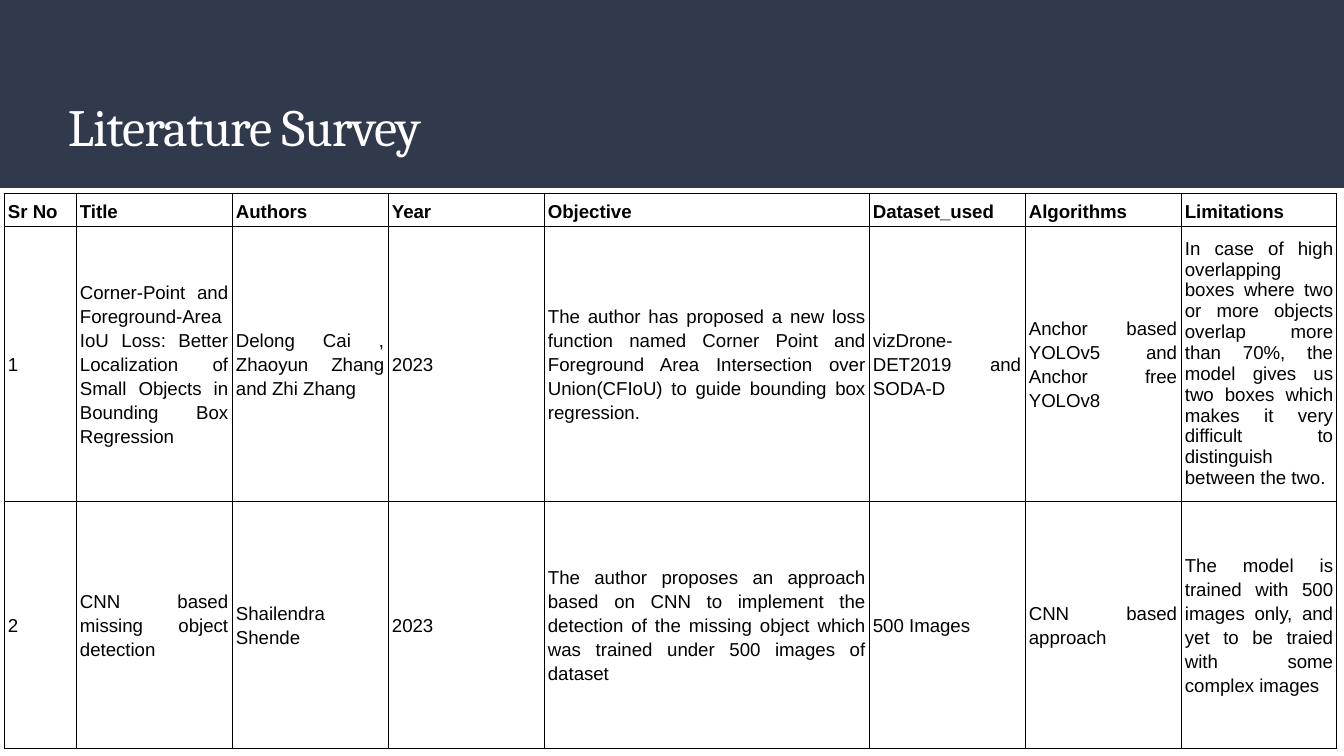
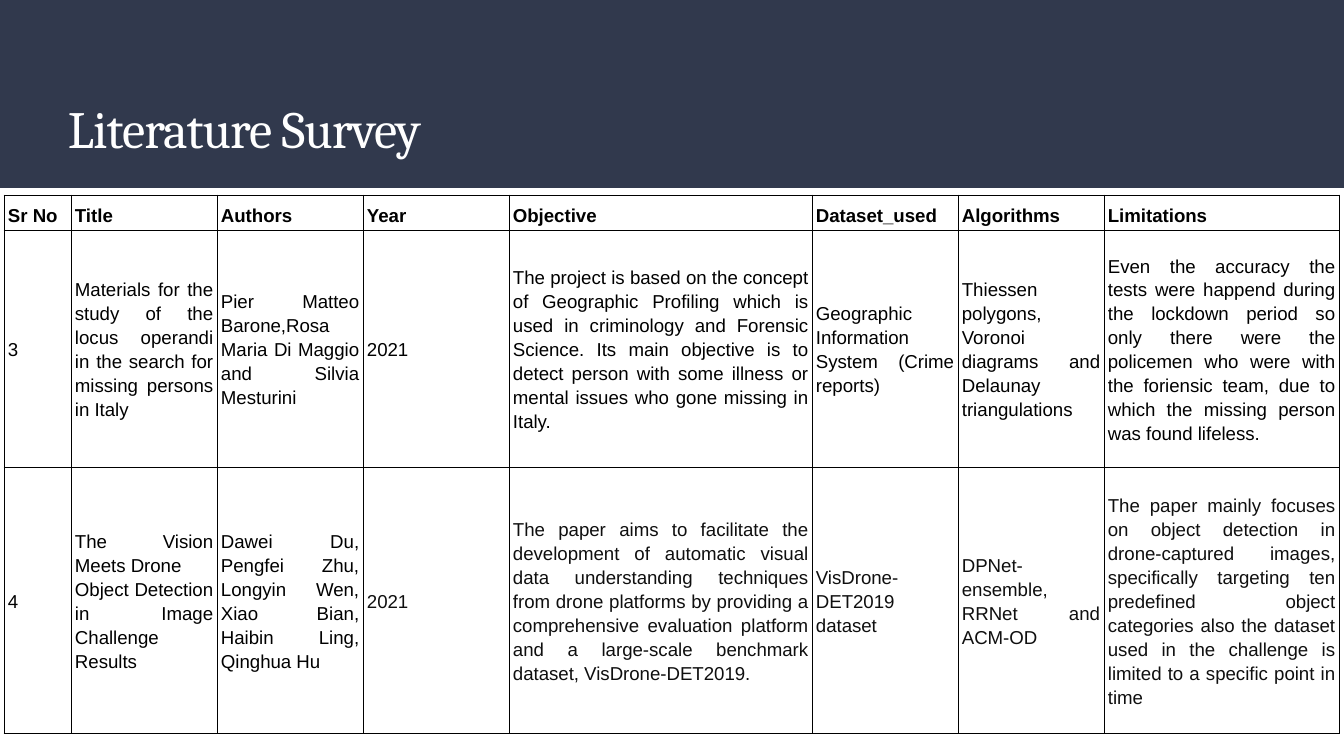
from dataclasses import dataclass

from lxml.etree import SubElement
from pptx import Presentation
from pptx.dml.color import RGBColor
from pptx.enum.shapes import MSO_SHAPE
from pptx.enum.text import MSO_ANCHOR, PP_ALIGN
from pptx.oxml.ns import qn
from pptx.util import Pt

EMU_PER_PX = 914400 / 134.4
PAGE_WIDTH, PAGE_HEIGHT = 1344, 756
BAND_HEIGHT = 188

NAVY = RGBColor(0x31, 0x39, 0x4D)
WHITE = RGBColor(0xFF, 0xFF, 0xFF)
BLACK = RGBColor(0x00, 0x00, 0x00)
NEAR_BLACK = RGBColor(0x0F, 0x0F, 0x0F)

TITLE_FONT, BODY_FONT = "Cambria", "Arial"
TITLE = "Literature Survey"
HEADINGS = ["Sr No", "Title", "Authors", "Year", "Objective",
            "Dataset_used", "Algorithms", "Limitations"]
LOOSE, TIGHT = 1.15, 1.0


@dataclass
class Survey:
    title_top: int
    table_top: int
    columns: list
    rows: list
    papers: list


@dataclass
class Entry:
    """Cell text that differs from the usual colour or line spacing."""
    text: str
    color: RGBColor = BLACK
    spacing: float = LOOSE


def grey(*texts):
    return [Entry(text, NEAR_BLACK) for text in texts]


SURVEYS = [
    Survey(79, 193, [72, 156, 156, 156, 325, 156, 156, 156], [33, 265, 247], [
        ["1",
         "Corner-Point and Foreground-Area IoU Loss: Better Localization of "
         "Small Objects in Bounding Box Regression",
         "Delong Cai , Zhaoyun Zhang and Zhi Zhang",
         "2023",
         "The author has proposed a new loss function named Corner Point and "
         "Foreground Area Intersection over Union(CFIoU) to guide bounding "
         "box regression.",
         "vizDrone-DET2019 and SODA-D",
         "Anchor based YOLOv5 and Anchor free YOLOv8",
         Entry("In case of high overlapping boxes where two or more objects "
               "overlap more than 70%, the model gives us two boxes which "
               "makes it very difficult to distinguish between the two.",
               spacing=TIGHT)],
        ["2",
         "CNN based missing object detection",
         "Shailendra Shende",
         "2023",
         "The author proposes an approach based on CNN to implement the "
         "detection of the missing object which was trained under 500 images "
         "of dataset",
         "500 Images",
         "CNN based approach",
         "The model is trained with 500 images only, and yet to be traied "
         "with some complex images"],
    ]),
    Survey(81, 195, [67, 146, 146, 146, 303, 146, 146, 235], [35, 238, 266], [
        ["3",
         "Materials for the study of the locus operandi in the search for "
         "missing persons in Italy",
         "Pier Matteo Barone,Rosa Maria Di Maggio and Silvia Mesturini",
         "2021",
         "The project is based on the concept of Geographic Profiling which "
         "is used in criminology and Forensic Science. Its main objective is "
         "to detect person with some illness or mental issues who gone "
         "missing in Italy.",
         "Geographic Information System (Crime reports)",
         "Thiessen polygons, Voronoi diagrams and Delaunay triangulations",
         "Even the accuracy the tests were happend during the lockdown period "
         "so only there were the policemen who were with the foriensic team, "
         "due to which the missing person was found lifeless."],
        ["4",
         "The Vision Meets Drone\nObject Detection in Image Challenge Results",
         "Dawei Du, Pengfei Zhu, Longyin Wen, Xiao Bian, Haibin Ling, "
         "Qinghua Hu",
         *grey("2021",
               "The paper aims to facilitate the development of automatic "
               "visual data understanding techniques from drone platforms by "
               "providing a comprehensive evaluation platform and a "
               "large-scale benchmark dataset, VisDrone-DET2019.",
               "VisDrone-DET2019 dataset",
               "DPNet-ensemble, RRNet and ACM-OD",
               "The paper mainly focuses on object detection in "
               "drone-captured images, specifically targeting ten predefined "
               "object categories also the dataset used in the challenge is "
               "limited to a specific point in time")],
    ]),
]


def px(length):
    return round(length * EMU_PER_PX)


def add_span(para, text, font, size, color, bold=False):
    span = para.add_run()
    span.text = text
    span.font.name = font
    span.font.size = Pt(size)
    span.font.bold = bold
    span.font.color.rgb = color
    return span


def add_band(page):
    band = page.shapes.add_shape(MSO_SHAPE.RECTANGLE, 0, 0,
                                 px(PAGE_WIDTH), px(BAND_HEIGHT))
    band.shadow.inherit = False
    band.fill.solid()
    band.fill.fore_color.rgb = NAVY
    band.line.fill.background()


def add_title(page, top):
    box = page.shapes.add_textbox(px(55), px(top), px(1253), px(91))
    frame = box.text_frame
    frame.word_wrap = True
    frame.vertical_anchor = MSO_ANCHOR.BOTTOM
    frame.margin_left = frame.margin_right = px(13)
    frame.margin_top = frame.margin_bottom = px(13)
    span = add_span(frame.paragraphs[0], TITLE, TITLE_FONT, 28, WHITE)
    span.font._element.set("spc", "-50")


def set_borders(cell):
    properties = cell._tc.get_or_add_tcPr()
    for position, side in enumerate(("a:lnL", "a:lnR", "a:lnT", "a:lnB")):
        line = SubElement(properties, qn(side), w=str(Pt(0.55)))
        fill = SubElement(line, qn("a:solidFill"))
        SubElement(fill, qn("a:srgbClr"), val=str(BLACK))
        properties.insert(position, line)


def fill_cell(cell, entry, heading):
    if isinstance(entry, str):
        entry = Entry(entry)
    cell.fill.background()
    set_borders(cell)
    cell.vertical_anchor = MSO_ANCHOR.BOTTOM if heading else MSO_ANCHOR.MIDDLE
    cell.margin_left = cell.margin_right = px(4)
    cell.margin_top = cell.margin_bottom = px(3)
    frame = cell.text_frame
    for index, text in enumerate(entry.text.split("\n")):
        para = frame.add_paragraph() if index else frame.paragraphs[0]
        para.alignment = PP_ALIGN.JUSTIFY
        para.line_spacing = entry.spacing
        add_span(para, text, BODY_FONT, 10, entry.color, heading)


def add_survey_table(page, survey):
    table = page.shapes.add_table(
        len(survey.rows), len(survey.columns), px(4), px(survey.table_top),
        px(sum(survey.columns)), px(sum(survey.rows))).table
    table.first_row = table.horz_banding = False
    for column, width in zip(table.columns, survey.columns):
        column.width = px(width)
    for row, height in zip(table.rows, survey.rows):
        row.height = px(height)
    for r, entries in enumerate([HEADINGS, *survey.papers]):
        for c, entry in enumerate(entries):
            fill_cell(table.cell(r, c), entry, heading=r == 0)


def main():
    deck = Presentation()
    deck.slide_width, deck.slide_height = px(PAGE_WIDTH), px(PAGE_HEIGHT)
    for survey in SURVEYS:
        page = deck.slides.add_slide(deck.slide_layouts[6])
        add_band(page)
        add_title(page, survey.title_top)
        add_survey_table(page, survey)
    deck.save("out.pptx")


if __name__ == "__main__":
    main()
